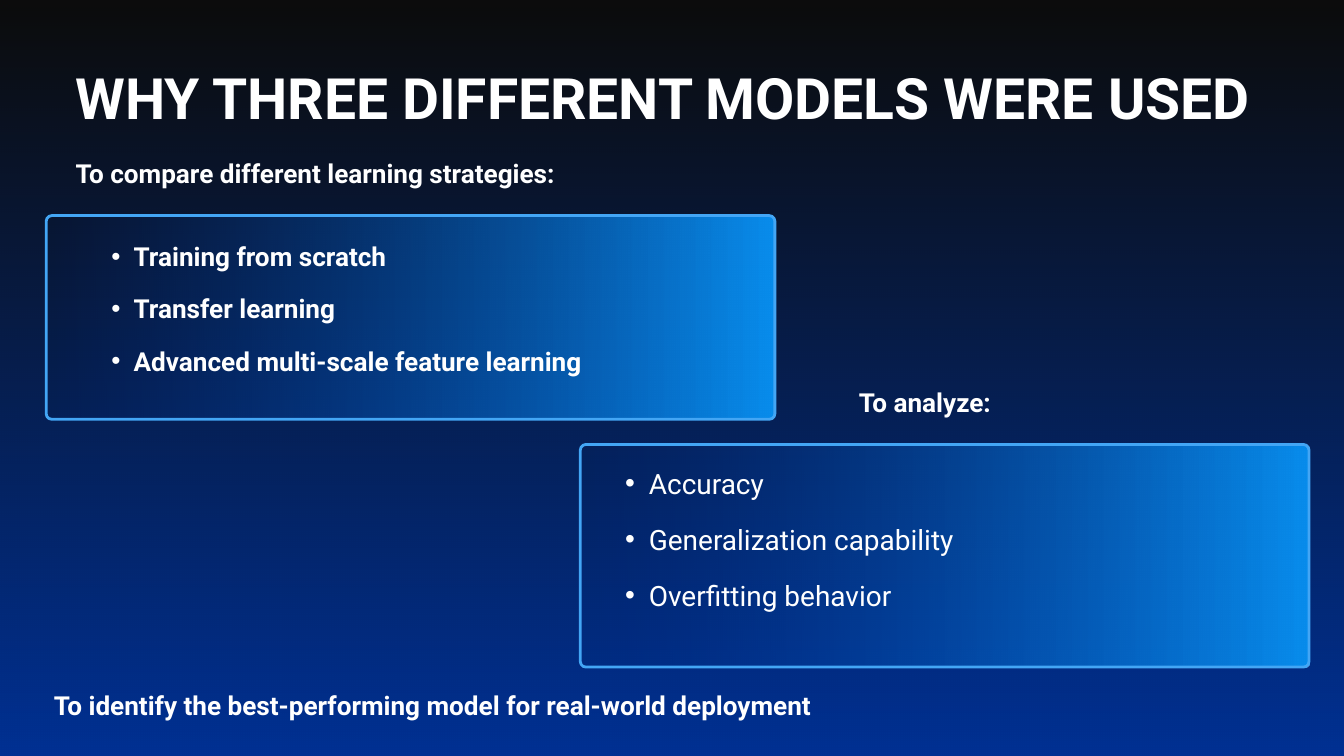
from lxml.etree import SubElement
from pptx import Presentation
from pptx.dml.color import RGBColor
from pptx.enum.shapes import MSO_SHAPE as Preset
from pptx.enum.text import MSO_AUTO_SIZE as AutoSize
from pptx.oxml.ns import qn
from pptx.util import Emu, Pt

PX = 9525
WIDTH, HEIGHT = 1920, 1080
DEEP_BLUE, BRIGHT_BLUE = "003297", "098DED"
BORDER, WHITE, NIGHT = "43A6F5", "FFFFFF", "0C0C0C"
CORNER = 8


def px(value):
    return Emu(value * PX)


def color(hex_value):
    return RGBColor.from_string(hex_value)


def apply_format(target, values):
    for name, value in values.items():
        setattr(target, name, value)


def add_fading_shape(slide, preset, box, end_color, angle):
    shape = slide.shapes.add_shape(preset, *map(px, box))
    shape.shadow.inherit = False
    shape.fill.gradient()
    shape.fill.gradient_angle = angle
    for stop, stop_color in zip(shape.fill.gradient_stops, (DEEP_BLUE, end_color)):
        stop.color.rgb = color(stop_color)
    first_color = next(shape._element.spPr.iter(qn("a:srgbClr")))
    SubElement(first_color, qn("a:alpha"), val="0")
    return shape


def add_background(slide, box):
    slide.background.fill.solid()
    slide.background.fill.fore_color.rgb = color(NIGHT)
    glow = add_fading_shape(slide, Preset.RECTANGLE, box, DEEP_BLUE, 270)
    glow.line.fill.background()


def add_bullet(paragraph, indent):
    properties = paragraph._p.get_or_add_pPr()
    properties.set("marL", str(px(indent)))
    properties.set("indent", str(-px(indent // 2)))
    SubElement(properties, qn("a:buFont"), typeface="Arial")
    SubElement(properties, qn("a:buChar"), char="•")


def add_text(slide, box, lines, size, bold=True, indent=0):
    frame = slide.shapes.add_textbox(*map(px, box)).text_frame
    apply_format(frame, {
        "word_wrap": True, "auto_size": AutoSize.NONE,
        "margin_left": 0, "margin_top": 0, "margin_right": 0, "margin_bottom": 0,
    })
    for index, line in enumerate(lines):
        paragraph = frame.add_paragraph() if index else frame.paragraphs[0]
        paragraph.line_spacing = Pt(size)
        if index:
            paragraph.space_before = Pt(size)
        if indent:
            add_bullet(paragraph, indent)
        run = paragraph.add_run()
        run.text = line
        apply_format(run.font, {"name": "Roboto", "size": Pt(size), "bold": bold})
        run.font.color.rgb = color(WHITE)


def add_panel(slide, box, heading, heading_offset, items, items_offset, size, bold, indent):
    left, top, width, height = box
    panel = add_fading_shape(slide, Preset.ROUNDED_RECTANGLE, box, BRIGHT_BLUE, 0)
    panel.adjustments[0] = CORNER / height
    panel.line.color.rgb = color(BORDER)
    panel.line.width = Pt(3)
    dx, dy = heading_offset
    add_text(slide, (left + dx, top + dy, 693, 40), [heading], 28)
    dx, dy = items_offset
    add_text(slide, (left + dx, top + dy, 981, height - dy), items, size, bold, indent)


def main():
    presentation = Presentation()
    presentation.slide_width, presentation.slide_height = px(WIDTH), px(HEIGHT)
    slide = presentation.slides.add_slide(presentation.slide_layouts[6])

    add_background(slide, (-30, 6, 1950, 1098))
    add_text(slide, (108, 106, 1704, 87), ["WHY THREE DIFFERENT MODELS WERE USED"], 61)
    add_panel(
        slide, (66, 308, 1041, 291),
        "To compare different learning strategies:", (42, -76),
        ["Training from scratch", "Transfer learning", "Advanced multi-scale feature learning"],
        (61, 43), 28, True, 64,
    )
    add_panel(
        slide, (829, 635, 1041, 318),
        "To analyze:", (398, -75),
        ["Accuracy", "Generalization capability", "Overfitting behavior"],
        (30, 39), 30, False, 68,
    )
    add_text(
        slide, (77, 992, 1236, 40),
        ["To identify the best-performing model for real-world deployment"], 28,
    )
    presentation.save("out.pptx")


if __name__ == "__main__":
    main()
